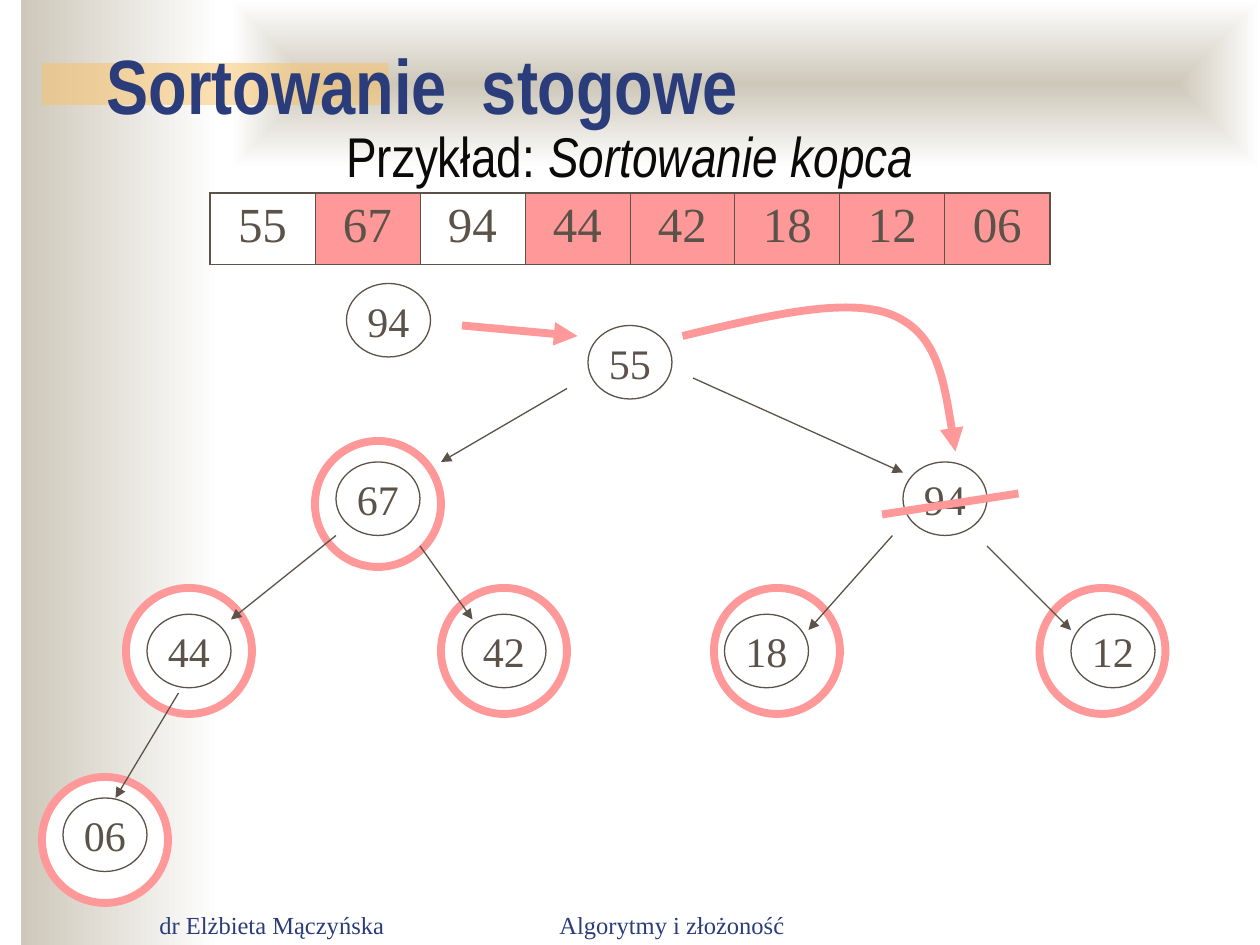
from lxml.etree import SubElement
from pptx import Presentation
from pptx.dml.color import RGBColor
from pptx.enum.shapes import MSO_CONNECTOR as Connector, MSO_SHAPE as Preset
from pptx.enum.text import MSO_ANCHOR as Anchor, PP_ALIGN as Align
from pptx.oxml.ns import qn
from pptx.util import Inches, Pt

NAVY = RGBColor(0x2A, 0x3D, 0x7A)
BROWN = RGBColor(0x5B, 0x52, 0x49)
BLACK = RGBColor(0x0B, 0x0A, 0x09)
PINK = RGBColor(0xFF, 0x99, 0x99)
SAND = RGBColor(0xCE, 0xC8, 0xBA)
GOLD = RGBColor(0xFA, 0xC1, 0x64)
WHITE = RGBColor(0xFF, 0xFF, 0xFF)
SERIF, NARROW = "Times New Roman", "Arial Narrow"
THIN, THICK = 0.75, 4.5

presentation = Presentation()
presentation.slide_width, presentation.slide_height = Inches(10), Inches(7.5)
slide = presentation.slides.add_slide(presentation.slide_layouts[6])
shapes = slide.shapes
UNIT = presentation.slide_width // 120  # grid of 120 columns by 90 rows


def grid(*cells):
    """Turn columns and rows of the grid into lengths."""
    return [round(cell * UNIT) for cell in cells]


def write(frame, text, size=24, font=SERIF, color=BROWN, bold=False, italic=False,
          align=Align.CENTER, anchor=Anchor.MIDDLE, wrap=True):
    """Add a run to the first paragraph of a frame."""
    frame.word_wrap, frame.vertical_anchor = wrap, anchor
    paragraph = frame.paragraphs[0]
    paragraph.alignment = align
    run = paragraph.add_run()
    run.text = text
    run.font.size, run.font.name = Pt(size), font
    run.font.bold, run.font.italic = bold, italic
    run.font.color.rgb = color


# Background bands
side, header, accent = [shapes.add_shape(Preset.RECTANGLE, *grid(*box)) for box in
                        [(2, 0, 19, 90), (22, 0, 98, 16), (4, 6, 33, 4)]]
for band in (side, header, accent):
    band.shadow.inherit = False
    band.line.fill.background()
for band in (side, header):
    band.fill.gradient()
    band.fill.gradient_angle = 0
    for stop, color in zip(band.fill.gradient_stops, (SAND, WHITE)):
        stop.color.rgb = color
gradient = header.element.spPr.find(qn("a:gradFill"))
gradient.remove(gradient.find(qn("a:lin")))
center = SubElement(gradient, qn("a:path"), {"path": "rect"})
SubElement(center, qn("a:fillToRect"), dict.fromkeys("ltrb", "50000"))
accent.fill.solid()
accent.fill.fore_color.rgb = GOLD
accent_color = accent.element.spPr.find(".//" + qn("a:srgbClr"))
SubElement(accent_color, qn("a:alpha"), {"val": "50000"})

# Title, subtitle and footer
title = shapes.add_textbox(*grid(9, 3, 102, 10)).text_frame
write(title, "Sortowanie  stogowe", size=44, font=NARROW, color=NAVY, bold=True,
      align=Align.LEFT)
subtitle = shapes.add_textbox(*grid(9, 11, 102, 68)).text_frame
for text, italic in [("Przykład: ", False), ("Sortowanie kopca", True)]:
    write(subtitle, text, size=32, font=NARROW, color=BLACK, italic=italic,
          anchor=Anchor.TOP)
for column, width, text, align in [(14, 25, "dr Elżbieta Mączyńska", Align.LEFT),
                                   (45, 38, "Algorytmy i złożoność", Align.CENTER)]:
    footer = shapes.add_textbox(*grid(column, 84.1, width, 6)).text_frame
    write(footer, text, size=14, color=NAVY, align=align, anchor=Anchor.BOTTOM)

# Array holding the heap
values = ["55", "67", "94", "44", "42", "18", "12", "06"]
unsettled = ("55", "94")
table = shapes.add_table(1, len(values), *grid(20, 18.36, 80, 6.84)).table
table.first_row = table.horz_banding = False
for index, value in enumerate(values):
    cell = table.cell(0, index)
    outer_edges = {"T", "B"}
    if index == 0:
        outer_edges.add("L")
    if index == len(values) - 1:
        outer_edges.add("R")
    properties = cell._tc.get_or_add_tcPr()
    for edge in "LRTB":
        width = Pt(1.08 if edge in outer_edges else 0.45)
        border = SubElement(properties, qn(f"a:ln{edge}"), {"w": str(width)})
        fill = SubElement(border, qn("a:solidFill"))
        SubElement(fill, qn("a:srgbClr"), {"val": str(BROWN)})
    if value in unsettled:
        cell.fill.background()
    else:
        cell.fill.solid()
        cell.fill.fore_color.rgb = PINK
    write(cell.text_frame, value, size=28, anchor=Anchor.TOP)

# Rings around settled nodes, then the nodes
rings = [(30, 42), (12, 56), (42, 56), (68, 56), (99, 56), (4, 74)]
nodes = [("55", 56, 31), ("67", 32, 44), ("94", 86, 44), ("44", 14, 58.5),
         ("42", 44, 58.5), ("18", 69, 58.5), ("12", 102, 58.5), ("06", 6, 76),
         ("94", 33, 27)]
ovals = [("", (*ring, 12, 12), PINK, THICK) for ring in rings]
ovals += [(value, (column, row, 8, 7), BROWN, THIN) for value, column, row in nodes]
for value, box, color, width in ovals:
    oval = shapes.add_shape(Preset.OVAL, *grid(*box))
    oval.shadow.inherit = False
    oval.fill.solid()
    oval.fill.fore_color.rgb = WHITE
    oval.line.color.rgb, oval.line.width = color, Pt(width)
    if value:
        write(oval.text_frame, value, wrap=False)

# Tree edges, the moved root and the strike through its old place
edges = [(54, 37, 42, 44), (32, 51, 22, 59), (17, 66, 11, 76), (40, 52, 45, 59),
         (66, 36, 86, 45), (94, 52, 102, 60), (85, 51, 77, 60)]
strokes = [(edge, BROWN, THIN, True) for edge in edges]
strokes += [((84, 49, 97, 47), PINK, THICK, False), ((44, 31, 55, 32), PINK, THICK, True)]
lines = [(shapes.add_connector(Connector.STRAIGHT, *grid(*ends)), *style)
         for ends, *style in strokes]

# Curved arrow from the root to the last leaf
curve_points = [(72.84, 30.12), (80.64, 28.2), (85, 30), (89.3, 31.8), (90.1, 37.4), (91, 43)]
builder = shapes.build_freeform(*grid(65, 32))
builder.add_line_segments([grid(*point) for point in curve_points], close=False)
curve = builder.convert_to_shape()
curve.fill.background()
segments = list(curve.element.iter(qn("a:lnTo")))
for first in range(0, len(segments), 3):
    bezier = SubElement(segments[first].getparent(), qn("a:cubicBezTo"))
    for segment in segments[first:first + 3]:
        bezier.append(segment[0])
        segment.getparent().remove(segment)
lines.append((curve, PINK, THICK, True))

for stroke, color, width, arrow in lines:
    stroke.line.color.rgb, stroke.line.width = color, Pt(width)
    outline = stroke.element.spPr
    if arrow:
        SubElement(outline.find(qn("a:ln")), qn("a:tailEnd"), {"type": "triangle"})
    SubElement(outline, qn("a:effectLst"))

presentation.save("out.pptx")
